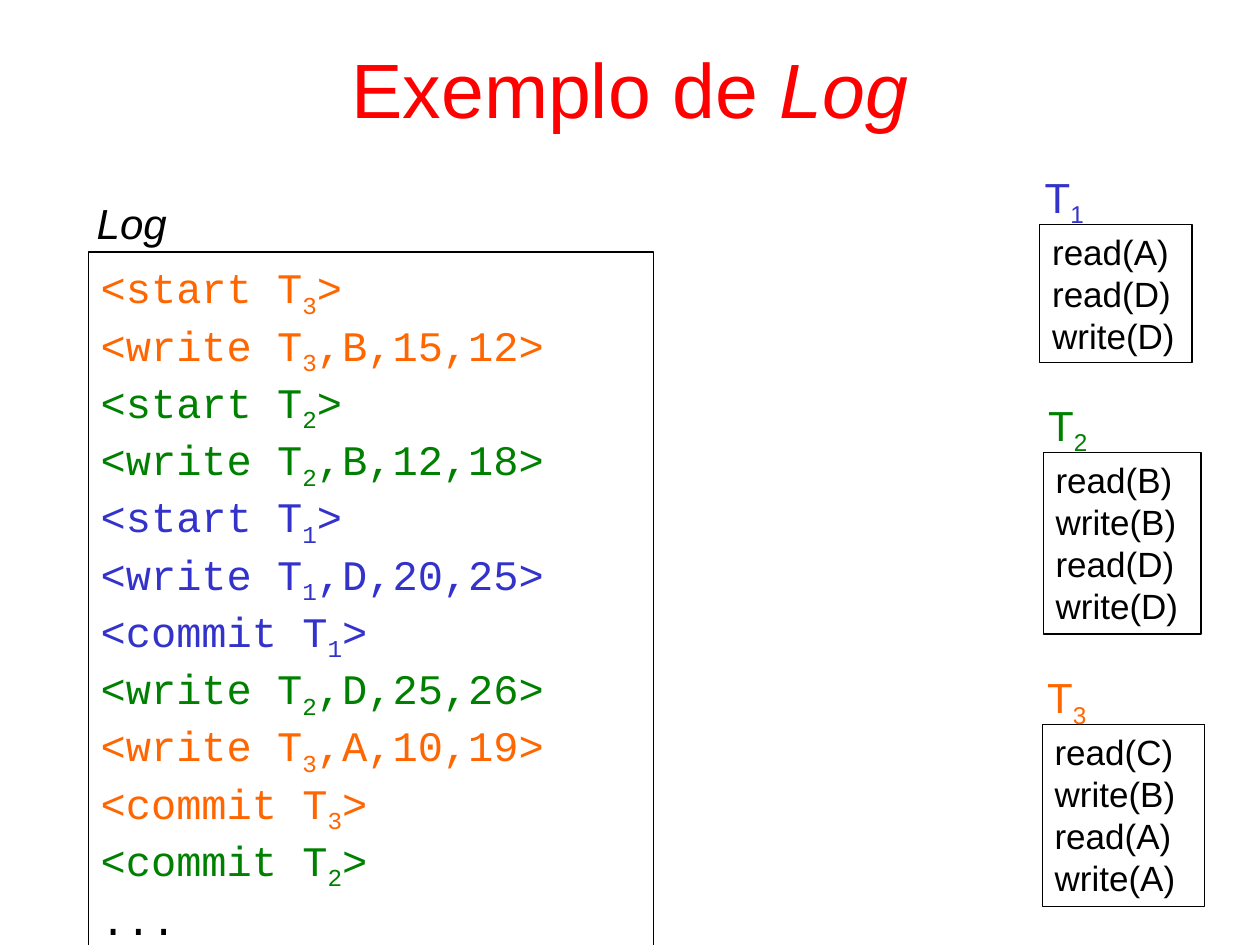
from pptx import Presentation
from pptx.dml.color import RGBColor
from pptx.enum.shapes import MSO_SHAPE as SHAPE
from pptx.enum.text import MSO_ANCHOR as ANCHOR, PP_ALIGN as ALIGN
from pptx.util import Cm, Pt

BLACK, RED = "000000", "FF0000"
COLORS = {"1": "3333CC", "2": "008000", "3": "FF6600"}
TRANSACTIONS = [
    ("1", (20.96, 4.52, 3.07, 2.79), ["read(A)", "read(D)", "write(D)"]),
    ("2", (21.03, 9.12, 3.18, 3.66), ["read(B)", "write(B)", "read(D)", "write(D)"]),
    ("3", (21.01, 14.61, 3.28, 3.66), ["read(C)", "write(B)", "read(A)", "write(A)"]),
]
LOG = [
    ("start", "3", ""),
    ("write", "3", ",B,15,12"),
    ("start", "2", ""),
    ("write", "2", ",B,12,18"),
    ("start", "1", ""),
    ("write", "1", ",D,20,25"),
    ("commit", "1", ""),
    ("write", "2", ",D,25,26"),
    ("write", "3", ",A,10,19"),
    ("commit", "3", ""),
    ("commit", "2", ""),
]


def rgb(value):
    return RGBColor.from_string(value)


def add_run(p, text, size=24, color=BLACK, font="Arial", italic=False, sub=False):
    r = p.add_run()
    r.text = text
    r.font.size = Pt(size)
    r.font.name = font
    r.font.italic = italic
    r.font.color.rgb = rgb(color)
    if sub:
        r._r.get_or_add_rPr().set("baseline", "-25000")


def add_line(tf, index, spacing, align=ALIGN.LEFT):
    p = tf.paragraphs[0] if index == 0 else tf.add_paragraph()
    p.alignment = align
    p.line_spacing = Pt(spacing)
    return p


def add_label(s, box, wrap=True):
    tf = s.shapes.add_textbox(*map(Cm, box)).text_frame
    tf.word_wrap = wrap
    return tf


def add_frame(s, box):
    sp = s.shapes.add_shape(SHAPE.RECTANGLE, *map(Cm, box))
    sp.shadow.inherit = False
    sp.fill.background()
    sp.line.color.rgb = rgb(BLACK)
    sp.line.width = Pt(0.75)
    tf = sp.text_frame
    tf.word_wrap = True
    tf.vertical_anchor = ANCHOR.TOP
    return tf


def add_title(s, box):
    tf = add_label(s, box)
    tf.vertical_anchor = ANCHOR.MIDDLE
    p = tf.paragraphs[0]
    p.alignment = ALIGN.CENTER
    add_run(p, "Exemplo de ", size=44, color=RED)
    add_run(p, "Log", size=44, color=RED, italic=True)


def add_transaction(s, box, number, steps):
    x, y, _, _ = box
    tf = add_frame(s, box)
    for i, step in enumerate(steps):
        add_run(add_line(tf, i, 24), step, size=20)
    p = add_line(add_label(s, (x - 0.15, y - 1.2, 1.3, 1.42), wrap=False), 0, 33)
    add_run(p, "T", color=COLORS[number])
    add_run(p, number, color=COLORS[number], sub=True)


def add_log(s, box):
    x, y, _, _ = box
    tf = add_frame(s, box)
    tf.margin_top = Cm(0.2)
    for i, (action, number, values) in enumerate(LOG):
        p = add_line(tf, i, 32.7)
        style = {"color": COLORS[number], "font": "Courier New"}
        add_run(p, f"<{action} T", **style)
        add_run(p, number, sub=True, **style)
        add_run(p, f"{values}>", **style)
    add_run(add_line(tf, len(LOG), 30), "...", font="Courier New")
    label = add_label(s, (x - 0.08, y - 1.22, 2.03, 1.27))
    add_run(add_line(label, 0, 28.8), "Log", italic=True)


def main():
    prs = Presentation()
    prs.slide_width, prs.slide_height = Cm(25.4), Cm(19.05)
    s = prs.slides.add_slide(prs.slide_layouts[6])
    add_title(s, (0, 0.18, 25.4, 3.18))
    for number, box, steps in TRANSACTIONS:
        add_transaction(s, box, number, steps)
    add_log(s, (1.78, 5.08, 11.4, 14))
    prs.save("out.pptx")


if __name__ == "__main__":
    main()
